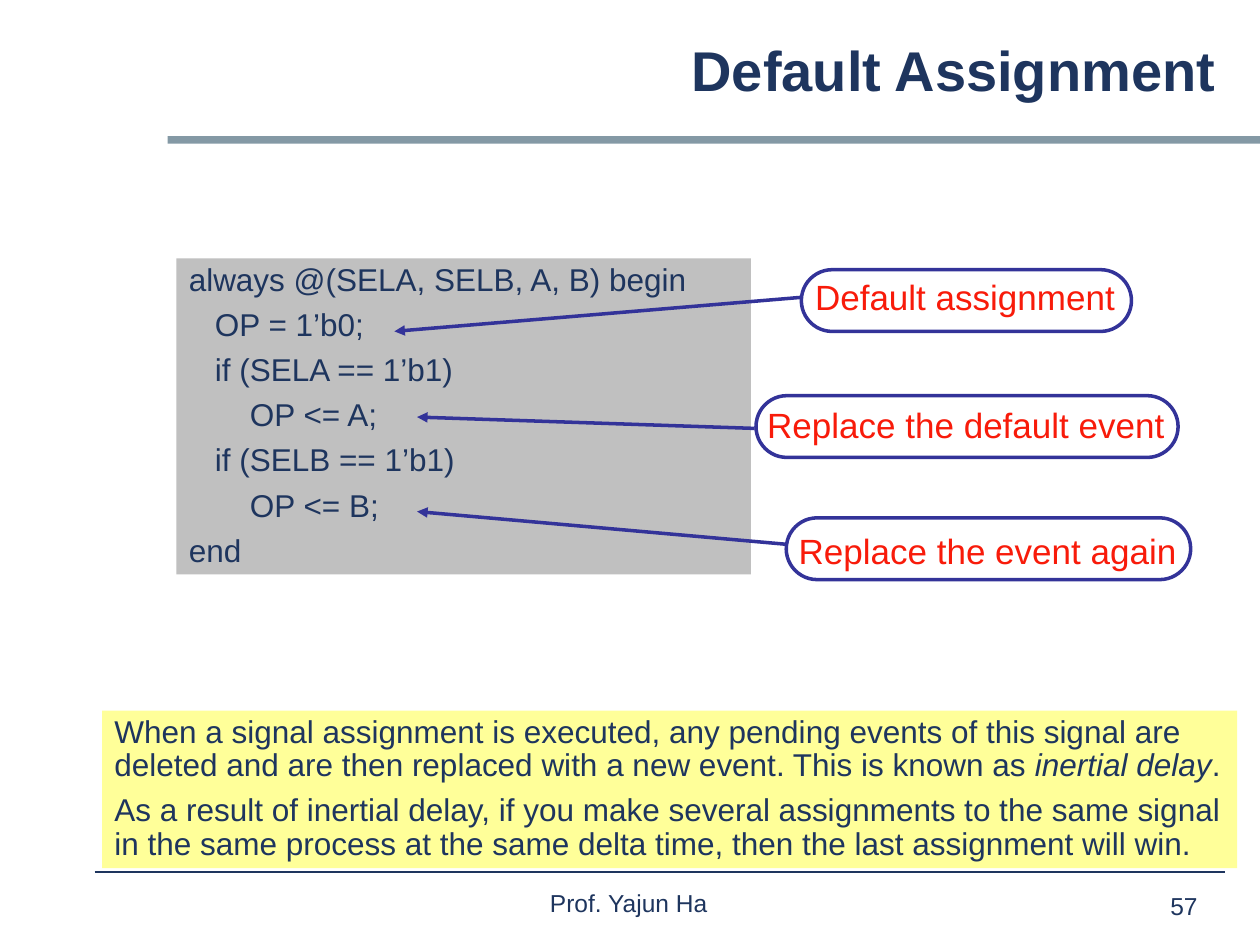
from lxml.etree import SubElement
from pptx import Presentation
from pptx.dml.color import RGBColor
from pptx.enum.shapes import MSO_CONNECTOR, MSO_SHAPE
from pptx.enum.text import MSO_ANCHOR, MSO_AUTO_SIZE, PP_ALIGN
from pptx.oxml.ns import qn
from pptx.util import Inches, Pt

HUES = {"navy": "1E355E", "slate": "8499A5", "blue": "333399",
        "red": "F81B0A", "gray": "C0C0C0", "cream": "FFFF99"}
TITLE = "Default Assignment"
CODE = [
    "always @(SELA, SELB, A, B) begin",
    "   OP = 1’b0;",
    "   if (SELA == 1’b1)",
    "       OP <= A;",
    "   if (SELB == 1’b1)",
    "       OP <= B;",
    "end",
]
NOTES = [
    [("When a signal assignment is executed, any pending events of this signal are "
      "deleted and are then replaced with a new event. This is known as ", False),
     ("inertial delay", True), (".", False)],
    [("As a result of inertial delay, if you make several assignments to the same signal "
      "in the same process at the same delta time, then the last assignment will win.", False)],
]
CALLS = [
    {"text": "Default assignment", "pill": (6.36, 2.14, 2.62, 0.49),
     "label": (6.37, 2.18, 2.58, 0.4), "arrow": (6.36, 2.36, 3.13, 2.63)},
    {"text": "Replace the default event", "pill": (6, 3.14, 3.35, 0.49),
     "label": (5.99, 3.2, 3.35, 0.4), "arrow": (5.99, 3.4, 3.31, 3.31)},
    {"text": "Replace the event again", "pill": (6.24, 4.11, 3.21, 0.49),
     "label": (6.24, 4.2, 3.2, 0.4), "arrow": (6.24, 4.32, 3.31, 4.06)},
]
SMALL = {"size": Pt(14), "name": "Arial", "bold": False}
BODY = {**SMALL, "size": Pt(18)}
CALL = {**SMALL, "size": Pt(20)}
HEAD = {"size": Pt(32), "name": "Arial", "bold": True}


def tint(hue):
    """Return the named colour."""
    return RGBColor.from_string(HUES[hue])


def place(shape, box):
    """Set the place and size of a shape."""
    for key, size in zip(("left", "top", "width", "height"), box):
        setattr(shape, key, Inches(size))


def write(shape, paras, form, hue="navy", align=PP_ALIGN.LEFT, gap=0,
          anchor=MSO_ANCHOR.TOP, wrap=True):
    """Fill a shape with paragraphs of (text, italic) runs."""
    frame = shape.text_frame
    frame.auto_size = MSO_AUTO_SIZE.NONE
    frame.word_wrap = wrap
    frame.vertical_anchor = anchor
    for num, runs in enumerate(paras):
        para = frame.add_paragraph() if num else frame.paragraphs[0]
        look = {"alignment": align, "line_spacing": 0.88,
                "space_before": Pt(gap if num else 0)}
        for key, value in look.items():
            setattr(para, key, value)
        for text, slant in runs:
            run = para.add_run()
            run.text = text
            for key, value in {**form, "italic": slant}.items():
                setattr(run.font, key, value)
            run.font.color.rgb = tint(hue)


def block(slide, box, hue):
    """Add a plain filled rectangle."""
    shape = slide.shapes.add_shape(MSO_SHAPE.RECTANGLE, *map(Inches, box))
    shape.shadow.inherit = False
    shape.fill.solid()
    shape.fill.fore_color.rgb = tint(hue)
    shape.line.fill.background()
    return shape


def pill(slide, box):
    """Add a hollow rounded outline."""
    shape = slide.shapes.add_shape(MSO_SHAPE.ROUNDED_RECTANGLE, *map(Inches, box))
    shape.adjustments[0] = 0.5
    shape.shadow.inherit = False
    shape.fill.background()
    shape.line.color.rgb = tint("blue")
    shape.line.width = Pt(2)


def label(slide, box, text, form, **look):
    """Add a one-line text box."""
    write(slide.shapes.add_textbox(*map(Inches, box)), [[(text, False)]], form, **look)


def rule(slide, ends, hue, width, arrow=False):
    """Add a straight line, with an arrowhead at its end if asked."""
    line = slide.shapes.add_connector(MSO_CONNECTOR.STRAIGHT, *map(Inches, ends))
    line.line.color.rgb = tint(hue)
    line.line.width = Pt(width)
    if arrow:
        SubElement(line.line._get_or_add_ln(), qn("a:tailEnd"), type="triangle")
    SubElement(line._element.spPr, qn("a:effectLst"))


def main():
    """Build the slide and save it."""
    deck = Presentation()
    deck.slide_width, deck.slide_height = Inches(10), Inches(7.5)
    slide = deck.slides.add_slide(deck.slide_layouts[5])

    block(slide, (1.33, 1.08, 8.67, 0.06), "slate")
    label(slide, (9.19, 7.05, 0.65, 0.26), "57", SMALL)
    rule(slide, (0.75, 6.92, 9.72, 6.92), "navy", 0.75)

    title = slide.shapes.title
    place(title, (1.33, 0.17, 8.42, 0.83))
    write(title, [[(TITLE, False)]], HEAD, align=PP_ALIGN.RIGHT, anchor=MSO_ANCHOR.MIDDLE)

    write(block(slide, (0.81, 5.64, 9.01, 1.25), "cream"), NOTES, BODY, gap=6.8)
    lines = [[(text, False)] for text in CODE]
    write(block(slide, (1.4, 2.05, 4.56, 2.51), "gray"), lines, BODY, gap=6.8)

    for call in CALLS:
        pill(slide, call["pill"])
        label(slide, call["label"], call["text"], CALL, hue="red", wrap=False)
        rule(slide, call["arrow"], "blue", 2, arrow=True)

    label(slide, (3.28, 7.03, 3.42, 0.42), "Prof. Yajun Ha", SMALL, align=PP_ALIGN.CENTER)
    deck.save("out.pptx")


if __name__ == "__main__":
    main()
